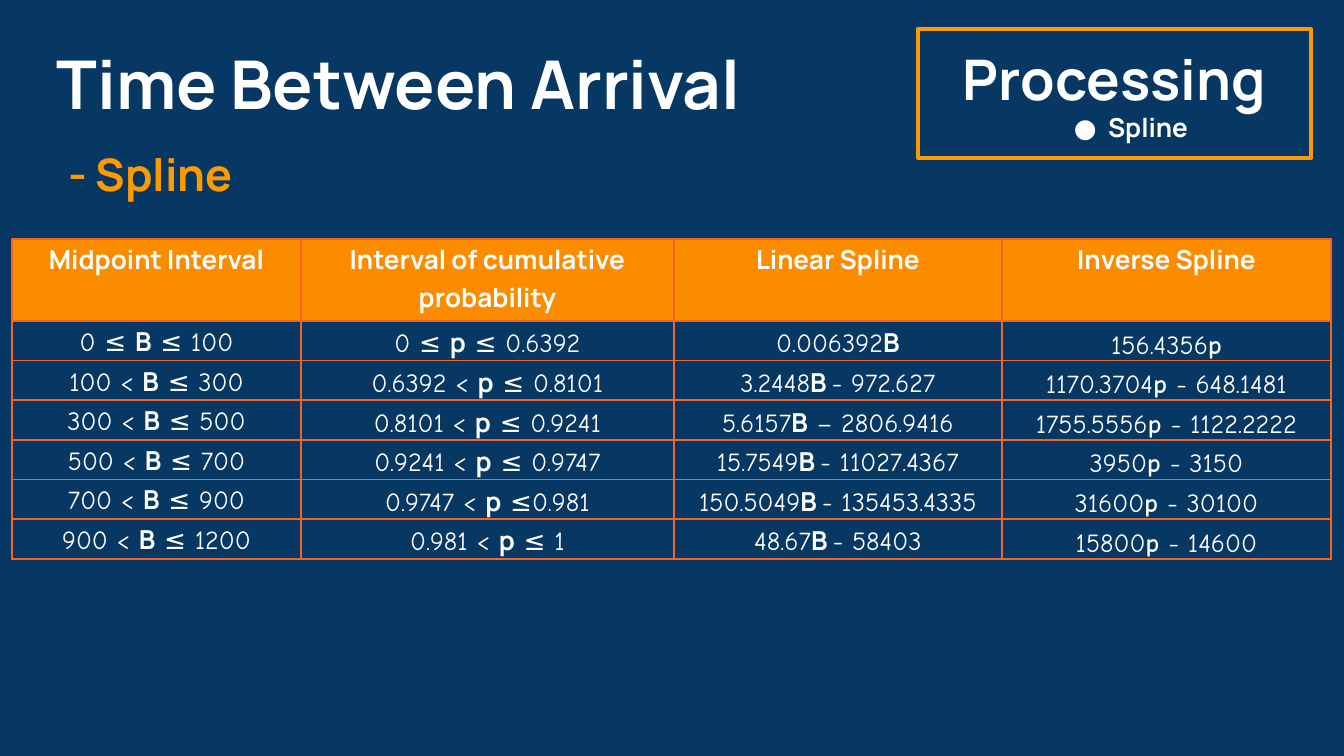
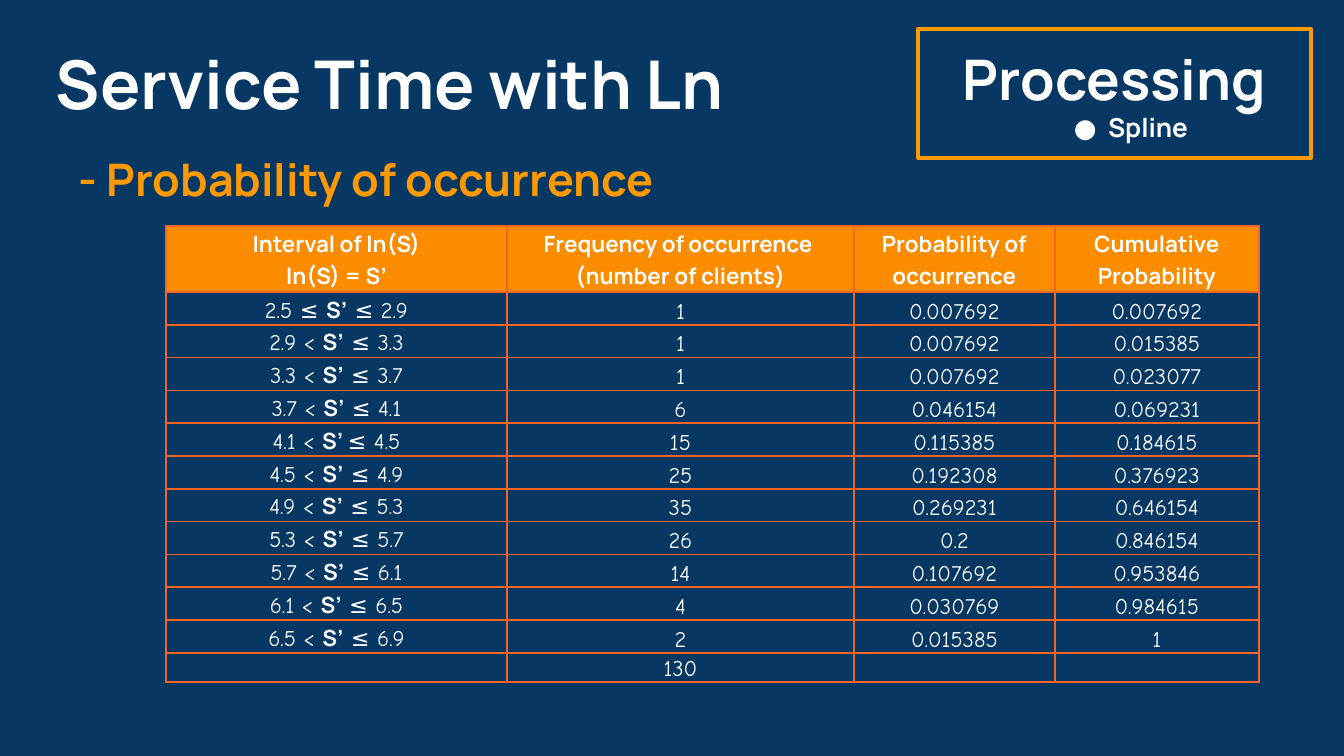
from dataclasses import dataclass

from lxml.etree import SubElement
from pptx import Presentation
from pptx.dml.color import RGBColor as RGB
from pptx.enum.shapes import MSO_SHAPE as SHAPE
from pptx.enum.text import MSO_ANCHOR as ANCHOR, MSO_AUTO_SIZE as AUTOSIZE, PP_ALIGN as ALIGN
from pptx.oxml.ns import qn
from pptx.util import Pt


@dataclass(frozen=True)
class Theme:
    navy: str = "073763"
    white: str = "FFFFFF"
    amber: str = "FF9900"
    header: str = "FB8C00"
    border: str = "F46524"
    main: str = "Manrope"
    light: str = "Comic Neue"
    heading: int = 36
    badge: int = 30
    title: int = 24
    note: int = 14


T = Theme()
TITLE_ONLY = 5


def px(n):
    return round(n * 9144000 / 1344)


def add_run(p, text, size, color=T.white, bold=True, font=T.main):
    r = p.add_run()
    r.text = text
    r.font.size = Pt(size)
    r.font.bold = bold
    r.font.name = font
    r.font.color.rgb = RGB.from_string(color)


# Column styles: vertical anchor, tight margins, font of the variable
TOP = (ANCHOR.TOP, False, T.main)
BOTTOM = (ANCHOR.BOTTOM, False, T.main)
BOTTOM_LIGHT = (ANCHOR.BOTTOM, False, T.light)
TIGHT = (ANCHOR.BOTTOM, True, T.main)

# Slide content; text between bars is the bold variable
slides = [
    dict(
        heading="Time Between Arrival", heading_x=44,
        title="- Spline", title_at=(44, 134),
        table_at=(12, 239), size=14, margin=11,
        widths=(289, 373, 328, 329),
        heights=[82] + [238 / 6] * 6,
        styles=(TOP, BOTTOM, TIGHT, BOTTOM_LIGHT),
        rows=[
            ("Midpoint Interval", "Interval of cumulative probability",
             "Linear Spline", "Inverse Spline"),
            ("0 ≤ |B| ≤ 100", "0 ≤ |p| ≤ 0.6392", "0.006392|B", "156.4356|p"),
            ("100 < |B| ≤ 300", "0.6392 < |p| ≤ 0.8101",
             "3.2448|B |- 972.627", "1170.3704|p |- 648.1481"),
            ("300 < |B| ≤ 500", "0.8101 < |p| ≤ 0.9241",
             "5.6157|B| – 2806.9416", "1755.5556|p |- 1122.2222"),
            ("500 < |B| ≤ 700", "0.9241 < |p| ≤ 0.9747",
             "15.7549|B |- 11027.4367", "3950|p |- 3150"),
            ("700 < |B| ≤ 900", "0.9747 < |p| ≤0.981",
             "150.5049|B |- 135453.4335", "31600|p |- 30100"),
            ("900 < |B| ≤ 1200", "0.981 < |p| ≤ 1",
             "48.67|B |- 58403", "15800|p |- 14600"),
        ],
    ),
    dict(
        heading="Service Time with Ln", heading_x=43,
        title="- Probability of occurrence", title_at=(55, 139),
        table_at=(166, 226), size=12, margin=10,
        widths=(341, 347, 201, 204),
        heights=[66] + [361 / 11] * 11 + [29],
        styles=(TOP, BOTTOM, TIGHT, TIGHT),
        rows=[
            ("Interval of ln(S)\nln(S) = S’", "Frequency of occurrence \n(number of clients)",
             "Probability of occurrence", "Cumulative Probability"),
            ("2.5 ≤ |S’| ≤ 2.9", "1", "0.007692", "0.007692"),
            ("2.9 < |S’| ≤ 3.3", "1", "0.007692", "0.015385"),
            ("3.3 < |S’| ≤ 3.7", "1", "0.007692", "0.023077"),
            ("3.7 < |S’| ≤ 4.1", "6", "0.046154", "0.069231"),
            ("4.1 < |S’ |≤ 4.5", "15", "0.115385", "0.184615"),
            ("4.5 < |S’| ≤ 4.9", "25", "0.192308", "0.376923"),
            ("4.9 < |S’| ≤ 5.3", "35", "0.269231", "0.646154"),
            ("5.3 < |S’| ≤ 5.7", "26", "0.2", "0.846154"),
            ("5.7 < |S’| ≤ 6.1", "14", "0.107692", "0.953846"),
            ("6.1 < |S’| ≤ 6.5", "4", "0.030769", "0.984615"),
            ("6.5 < |S’| ≤ 6.9", "2", "0.015385", "1"),
            ("", "130", "", ""),
        ],
    ),
]

prs = Presentation()
prs.slide_width, prs.slide_height = px(1344), px(756)
bg = prs.slide_master.background.fill
bg.solid()
bg.fore_color.rgb = RGB.from_string(T.navy)

for data in slides:
    s = prs.slides.add_slide(prs.slide_layouts[TITLE_ONLY])

    # Section badge
    sp = s.shapes.add_shape(SHAPE.RECTANGLE, px(918), px(29), px(393), px(129))
    sp.shadow.inherit = False
    sp.fill.background()
    sp.line.color.rgb = RGB.from_string(T.amber)
    sp.line.width = Pt(2.25)
    badge = sp.text_frame
    badge.vertical_anchor = ANCHOR.MIDDLE
    p = badge.paragraphs[0]
    p.alignment = ALIGN.CENTER
    add_run(p, "Processing", T.badge)
    p = badge.add_paragraph()
    p.alignment = ALIGN.CENTER
    add_run(p, "Spline", T.note)
    pPr = p._p.get_or_add_pPr()
    pPr.set("marL", str(px(67)))
    pPr.set("indent", str(px(-34)))
    SubElement(SubElement(pPr, qn("a:buClr")), qn("a:srgbClr"), val=T.white)
    SubElement(pPr, qn("a:buSzPts"), val=str(T.note * 100))
    SubElement(pPr, qn("a:buFont"), typeface=T.main)
    SubElement(pPr, qn("a:buChar"), char="●")

    # Heading
    box = s.shapes.add_textbox(px(data["heading_x"]), 0, px(875), px(165))
    heading = box.text_frame
    heading.word_wrap = True
    heading.vertical_anchor = ANCHOR.MIDDLE
    add_run(heading.paragraphs[0], data["heading"], T.heading)

    # Title
    title = s.shapes.title
    title.left, title.top = map(px, data["title_at"])
    title.width, title.height = px(926), px(71)
    tf = title.text_frame
    tf.auto_size = AUTOSIZE.NONE
    tf.vertical_anchor = ANCHOR.TOP
    p = tf.paragraphs[0]
    p.alignment = ALIGN.LEFT
    p._p.get_or_add_pPr().set("marL", str(px(11)))
    add_run(p, data["title"], T.title, T.amber)

    # All text frames share one inset
    for frame in (badge, heading, tf):
        frame.margin_left = frame.margin_right = px(13)
        frame.margin_top = frame.margin_bottom = px(13)

    # Table grid
    rows, widths, heights = data["rows"], data["widths"], data["heights"]
    size = data["size"]
    left, top = map(px, data["table_at"])
    tbl = s.shapes.add_table(len(rows), len(widths), left, top,
                             px(sum(widths)), px(sum(heights))).table
    tbl.first_row = tbl.horz_banding = False
    for col, width in zip(tbl.columns, widths):
        col.width = px(width)
    for row, height in zip(tbl.rows, heights):
        row.height = px(height)

    # Table cells
    for i, row in enumerate(rows):
        for j, text in enumerate(row):
            cell = tbl.cell(i, j)
            anchor, tight, var_font = data["styles"][j] if i else TOP
            cell.vertical_anchor = anchor
            cell.margin_left = cell.margin_right = px(1 if tight else data["margin"])
            cell.margin_top = px(1 if tight else 0)
            cell.margin_bottom = 0

            tcPr = cell._tc.get_or_add_tcPr()
            for side in ("a:lnL", "a:lnR", "a:lnT", "a:lnB"):
                ln = SubElement(tcPr, qn(side), w=str(Pt(1)))
                SubElement(SubElement(ln, qn("a:solidFill")), qn("a:srgbClr"), val=T.border)
            if i:
                cell.fill.background()
            else:
                cell.fill.solid()
                cell.fill.fore_color.rgb = RGB.from_string(T.header)

            p = cell.text_frame.paragraphs[0]
            p.alignment = ALIGN.CENTER
            if not tight:
                p.line_spacing = 1.07
            if not text:
                SubElement(p._p, qn("a:endParaRPr"), sz=str(size * 100))
            elif i == 0:
                for n, line in enumerate(text.split("\n")):
                    if n:
                        p.add_line_break()
                    add_run(p, line, size)
            else:
                for n, part in enumerate(text.split("|")):
                    is_var = n % 2 == 1
                    if part:
                        add_run(p, part, size, bold=is_var,
                                font=var_font if is_var else T.light)

prs.save("out.pptx")
